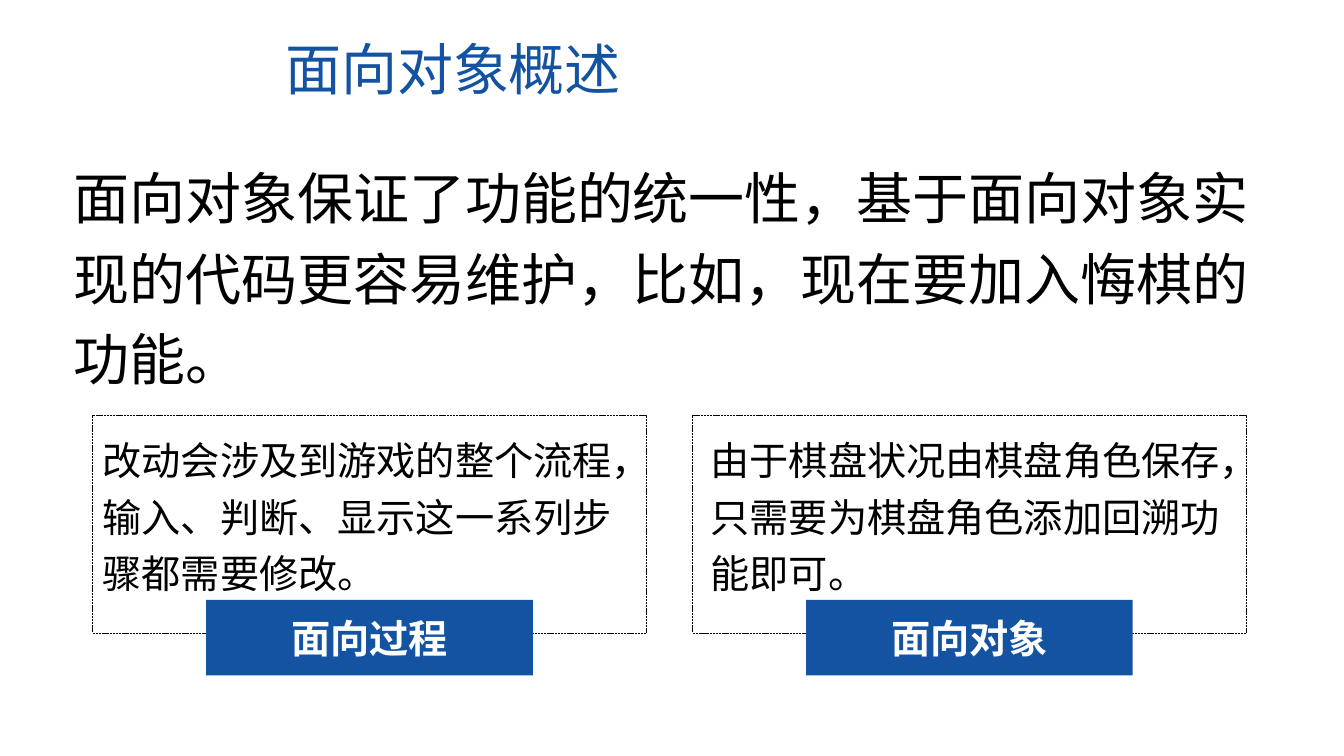
import pptx
import pptx.dml.color
import pptx.enum.dml
import pptx.enum.shapes
import pptx.enum.text
import pptx.oxml
import pptx.oxml.ns
import pptx.util
from pptx.util import Inches

FONT = "Noto Sans CJK SC"
COLORS = {"blue": "1353A2", "black": "000000", "white": "FFFFFF"}
RECT = pptx.enum.shapes.MSO_SHAPE.RECTANGLE


def rgb(name):
    return pptx.dml.color.RGBColor.from_string(COLORS[name])


def write(sp, text, size, color, spacing=None, bold=False):
    """Fill a shape with one paragraph, using FONT for Latin and East Asian text."""
    tf = sp.text_frame
    tf.word_wrap = True
    p = tf.paragraphs[0]
    p.text = text
    p.line_spacing = spacing
    p.font.size = pptx.util.Pt(size)
    p.font.bold = bold
    p.font.name = FONT
    p.font.color.rgb = rgb(color)
    ea = pptx.oxml.parse_xml(f'<a:ea {pptx.oxml.ns.nsdecls("a")} typeface="{FONT}"/>')
    p._p.pPr.find(pptx.oxml.ns.qn("a:defRPr")).append(ea)
    return p


prs = pptx.Presentation()
prs.slide_width = Inches(13.33)
prs.slide_height = Inches(7.5)
s = prs.slides.add_slide(prs.slide_layouts[6])

title = s.shapes.add_textbox(Inches(2.73), Inches(0.29), Inches(5.88), Inches(0.77))
write(title, "面向对象概述", 40, "blue")

intro = s.shapes.add_textbox(Inches(0.63), Inches(1.44), Inches(12.29), Inches(2.45))
write(intro, "面向对象保证了功能的统一性，基于面向对象实现的代码更容易维护，"
      "比如，现在要加入悔棋的功能。", 40, "black", 1.2)

# Frame left, note inset from the frame, label, note
approaches = [
    (0.92, 0, "面向过程", "改动会涉及到游戏的整个流程，输入、判断、显示这一系列步骤都需要修改。"),
    (6.87, 0.08, "面向对象", "由于棋盘状况由棋盘角色保存，只需要为棋盘角色添加回溯功能即可。"),
]
frame_w, label_w = 5.49, 3.24

for left, inset, label, note in approaches:
    frame = s.shapes.add_shape(RECT, Inches(left), Inches(4.12), Inches(frame_w), Inches(2.16))
    frame.shadow.inherit = False
    frame.fill.background()
    frame.line.color.rgb = rgb("black")
    frame.line.width = pptx.util.Pt(0.5)
    frame.line.dash_style = pptx.enum.dml.MSO_LINE.SQUARE_DOT

    tag_left = left + (frame_w - label_w) / 2
    tag = s.shapes.add_shape(RECT, Inches(tag_left), Inches(5.95), Inches(label_w), Inches(0.75))
    tag.shadow.inherit = False
    tag.fill.solid()
    tag.fill.fore_color.rgb = rgb("blue")
    tag.line.fill.background()
    tag.text_frame.vertical_anchor = pptx.enum.text.MSO_ANCHOR.MIDDLE
    p = write(tag, label, 28, "white", bold=True)
    p.alignment = pptx.enum.text.PP_ALIGN.CENTER

    body = s.shapes.add_textbox(Inches(left + inset), Inches(4.19),
                                Inches(frame_w - 2 * inset), Inches(1.8))
    write(body, note, 28, "black", 1.2)

prs.save("out.pptx")
